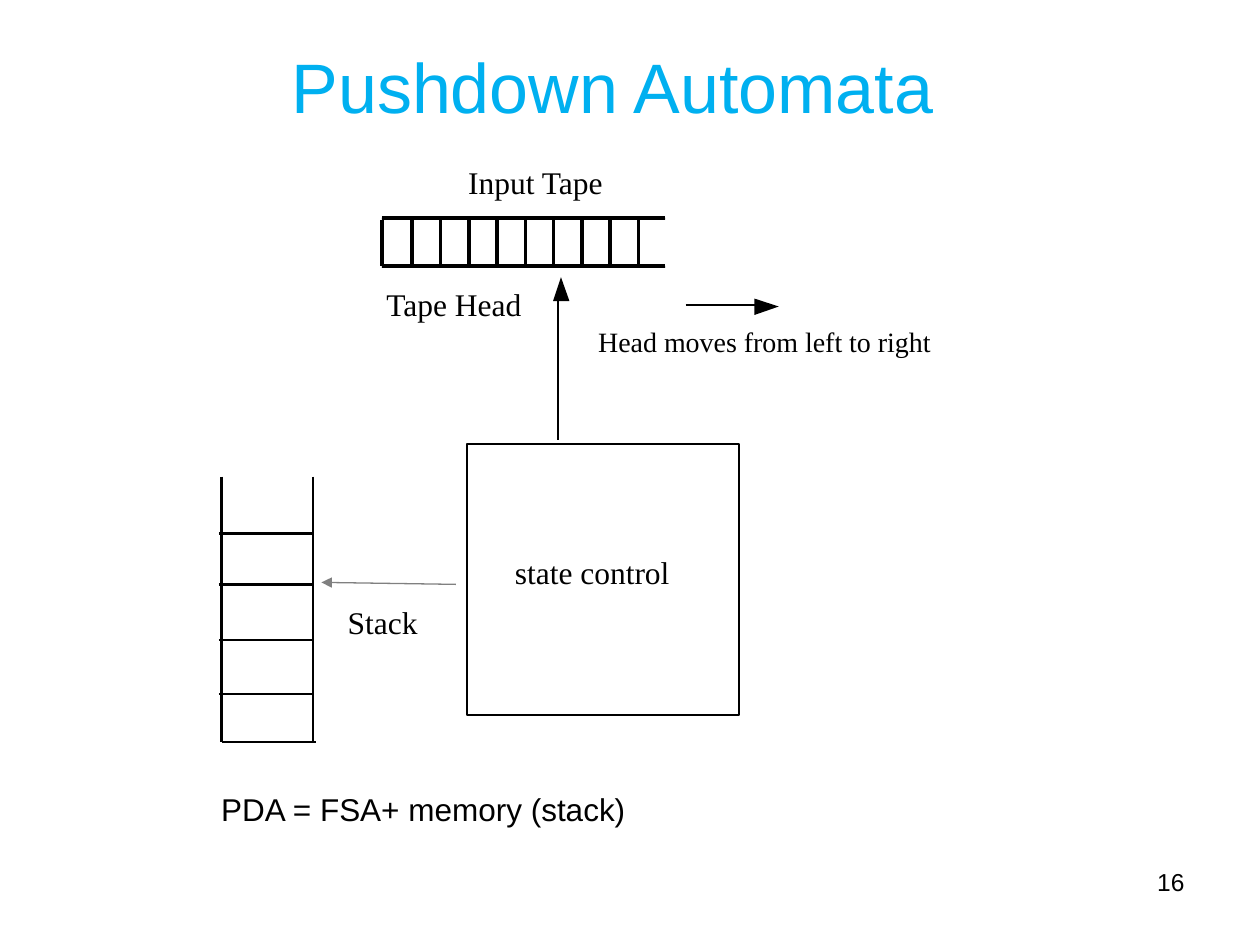
from lxml import etree
from pptx import Presentation
from pptx.dml.color import RGBColor
from pptx.enum.shapes import MSO_CONNECTOR, MSO_SHAPE
from pptx.enum.text import MSO_ANCHOR, MSO_AUTO_SIZE, PP_ALIGN
from pptx.oxml.ns import qn
from pptx.util import Cm, Pt

STRAIGHT = MSO_CONNECTOR.STRAIGHT
RECTANGLE = MSO_SHAPE.RECTANGLE
TOP = MSO_ANCHOR.TOP
NO_AUTOFIT = MSO_AUTO_SIZE.NONE
LEFT, CENTER, RIGHT = PP_ALIGN.LEFT, PP_ALIGN.CENTER, PP_ALIGN.RIGHT

BLACK = RGBColor(0x00, 0x00, 0x00)
GRAY = RGBColor(0x80, 0x80, 0x80)
SKY = RGBColor(0x00, 0xB0, 0xF0)
SERIF, SANS = "Times New Roman", "Arial"
HAIRLINE = 0

prs = Presentation()
prs.slide_width, prs.slide_height = Cm(25.4), Cm(19.05)
slide = prs.slides.add_slide(prs.slide_layouts[5])
shapes = slide.shapes


def draw_line(x1, y1, x2, y2, width, color=BLACK):
    line = shapes.add_connector(STRAIGHT, Cm(x1), Cm(y1), Cm(x2), Cm(y2))
    line.line.color.rgb = color
    line.line.width = Pt(width)
    etree.SubElement(line._element.spPr, qn("a:effectLst"))
    return line


def write_text(frame, text, size, font, color=BLACK, align=LEFT):
    frame.auto_size = NO_AUTOFIT
    frame.vertical_anchor = TOP
    paragraph = frame.paragraphs[0]
    paragraph.alignment = align
    run = paragraph.add_run()
    run.text = text
    run.font.size = Pt(size)
    run.font.name = font
    run.font.color.rgb = color


title = shapes.title
title.left, title.top, title.width, title.height = Cm(2.51), Cm(0.74), Cm(19.25), Cm(1.5)
title.text_frame.margin_left = Cm(0.67)
write_text(title.text_frame, "Pushdown Automata", 40, SANS, SKY, CENTER)

tape_left, tape_right, tape_top, tape_bottom = 7.7, 13.41, 4.39, 5.36
first_divider, cell_width, rail_height = 8.31, 0.57, 0.04
dividers = [tape_left] + [first_divider + i * cell_width for i in range(9)]
for x, next_x in zip(dividers, dividers[1:] + [tape_right]):
    for y in (tape_top, tape_bottom):
        rail = shapes.add_shape(RECTANGLE, Cm(x), Cm(y), Cm(next_x - x), Cm(rail_height))
        rail.shadow.inherit = False
        rail.fill.solid()
        rail.fill.fore_color.rgb = BLACK
        rail.line.fill.background()
        draw_line(x, y, next_x, y, HAIRLINE)
    draw_line(x, tape_top + rail_height, x, tape_bottom, HAIRLINE)

control = shapes.add_shape(RECTANGLE, Cm(9.41), Cm(8.95), Cm(5.49), Cm(5.46))
control.shadow.inherit = False
control.fill.background()
control.line.color.rgb = BLACK
control.line.width = Pt(1.25)

draw_line(11.25, 8.86, 11.25, 6.05, 1.25)
draw_line(13.82, 6.15, 15.21, 6.15, 1.25)
arrow_tips = [
    [(11.48, 6.07), (11.31, 5.59), (11.15, 6.07)],
    [(15.21, 6.35), (15.7, 6.18), (15.21, 6.02)],
]
for corners in arrow_tips:
    start, *others = [(Cm(x), Cm(y)) for x, y in corners]
    outline = shapes.build_freeform(*start)
    outline.add_line_segments(others, close=True)
    tip = outline.convert_to_shape()
    tip.shadow.inherit = False
    tip.fill.solid()
    tip.fill.fore_color.rgb = BLACK
    tip.line.fill.background()

stack_left, stack_right, stack_top, stack_bottom = 4.47, 6.31, 9.61, 14.96
for x in (stack_left, stack_right):
    draw_line(x, stack_top, x, stack_bottom, 1.5)
for y in (10.76, 11.78, 12.9, 13.99):
    draw_line(4.41, y, 6.31, y, 1.5)
draw_line(stack_left, stack_bottom, 6.38, stack_bottom, 1.5)

stack_access = draw_line(9.19, 11.78, 6.48, 11.74, 0.74, GRAY)
etree.SubElement(stack_access.line._get_or_add_ln(), qn("a:tailEnd"), type="triangle")

labels = [
    ("Input Tape", 9.44, 3.28, 2.77, 0.76, 18, SERIF, LEFT, False),
    ("Tape Head", 7.79, 5.74, 2.77, 0.76, 18, SERIF, LEFT, False),
    ("Head moves from left to right", 12.06, 6.55, 6.8, 0.69, 16, SERIF, LEFT, False),
    ("state control", 10.38, 11.15, 4.09, 0.76, 18, SERIF, LEFT, False),
    ("Stack", 6.76, 12.03, 2.11, 1.02, 18, SERIF, LEFT, True),
    ("PDA = FSA+ memory (stack)", 4.21, 15.8, 12.7, 1.02, 18, SANS, LEFT, True),
    ("16", 18.21, 17.35, 5.92, 1.32, 14, SANS, RIGHT, True),
]
for text, x, y, width, height, size, font, align, padded in labels:
    frame = shapes.add_textbox(Cm(x), Cm(y), Cm(width), Cm(height)).text_frame
    frame.word_wrap = True
    if not padded:
        frame.margin_left = frame.margin_top = frame.margin_right = frame.margin_bottom = 0
    write_text(frame, text, size, font, align=align)

prs.save("out.pptx")
